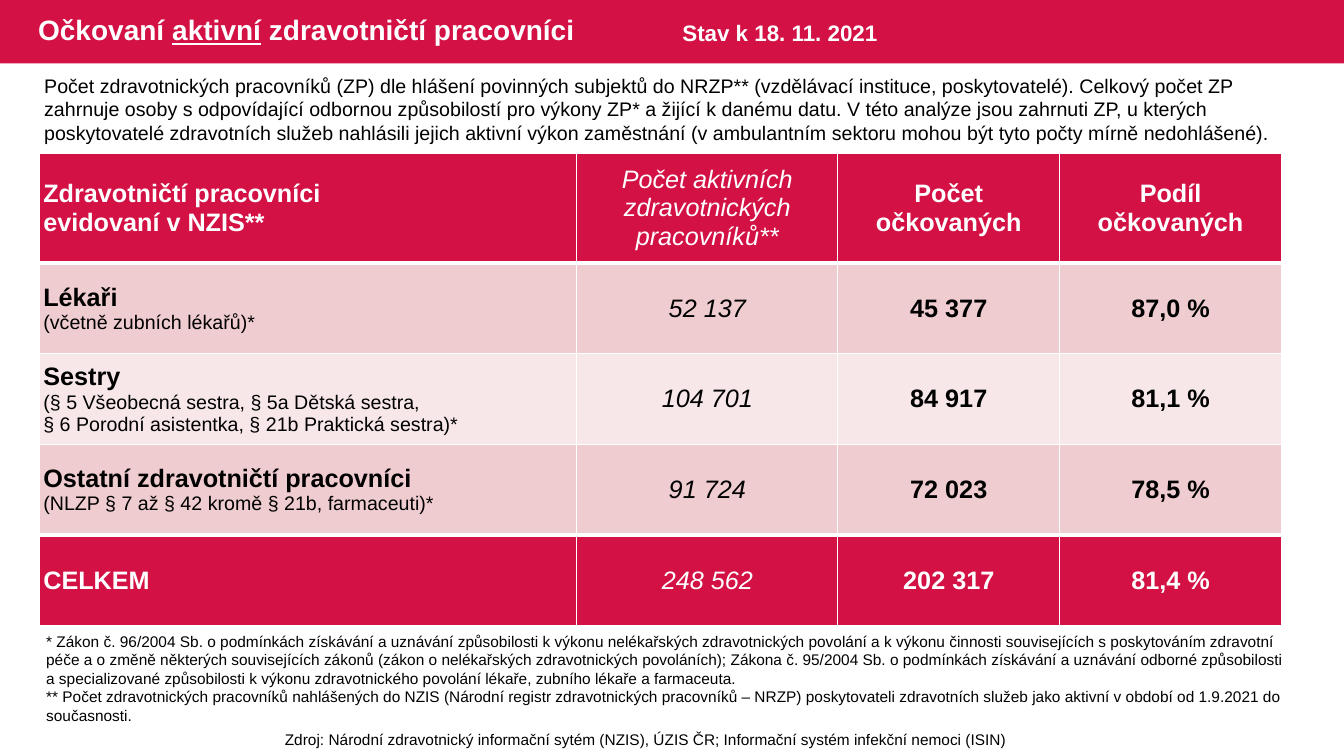
from dataclasses import dataclass, field
from typing import Any

from lxml.etree import SubElement
from pptx import Presentation
from pptx.dml.color import RGBColor
from pptx.enum.shapes import MSO_SHAPE as Shape
from pptx.enum.text import MSO_ANCHOR as Anchor, PP_ALIGN as Align
from pptx.oxml.ns import qn
from pptx.util import Inches, Pt


@dataclass(frozen=True)
class Theme:
    font: str = "Arial"
    red: str = "D31145"
    rose: str = "EFCCCF"
    blush: str = "F7E7E9"
    white: str = "FFFFFF"
    black: str = "000000"
    title: int = 20
    cell: int = 18
    date: int = 16
    body: int = 14
    note: int = 11
    rule: int = 1
    heavy_rule: int = 3


THEME = Theme()


@dataclass(frozen=True)
class Span:
    text: str
    size: int
    color: str = THEME.black
    format: dict[str, Any] = field(default_factory=dict)


@dataclass(frozen=True)
class Note:
    frame: tuple[float, float, float, float]
    paras: list[list[Span]]
    align: Align = Align.LEFT
    anchor: Anchor = Anchor.TOP
    spacing: float = 1.0


@dataclass(frozen=True)
class Row:
    height: float
    label: list[str]
    values: list[str]
    fill: str
    color: str = THEME.black
    detail: list[str] = field(default_factory=list)
    top_rule: int = THEME.rule
    bottom_rule: int = THEME.rule


BOLD = {"bold": True}
ITALIC = {"italic": True}
VALUE_FORMATS = [ITALIC, BOLD, BOLD]
COLUMN_WIDTHS = [5.33, 2.59, 2.2, 2.2]
TABLE_LEFT, TABLE_TOP = 0.39, 1.52
PAGE_WIDTH, PAGE_HEIGHT, BAND_HEIGHT = 13.33, 7.5, 0.63
TITLE_FORMAT = {"size": THEME.title, "color": THEME.white}

NOTES = [
    Note((0.28, 0, 8.13, BAND_HEIGHT), [[
        Span("Očkovaní ", format=BOLD, **TITLE_FORMAT),
        Span("aktivní", format=BOLD | {"underline": True}, **TITLE_FORMAT),
        Span(" zdravotničtí pracovníci", format=BOLD, **TITLE_FORMAT),
    ]], anchor=Anchor.MIDDLE, spacing=0.9),
    Note((0.36, 6.22, 12.53, 1.03), [
        [Span("* Zákon č. 96/2004 Sb. o podmínkách získávání a uznávání způsobilosti k výkonu "
              "nelékařských zdravotnických povolání a k výkonu činnosti souvisejících s poskytováním "
              "zdravotní péče a o změně některých souvisejících zákonů (zákon o nelékařských "
              "zdravotnických povoláních); Zákona č. 95/2004 Sb. o podmínkách získávání a uznávání "
              "odborné způsobilosti a specializované způsobilosti k výkonu zdravotnického povolání "
              "lékaře, zubního lékaře a farmaceuta.", THEME.note)],
        [Span("** Počet zdravotnických pracovníků nahlášených do NZIS (Národní registr zdravotnických "
              "pracovníků – NRZP) poskytovateli zdravotních služeb jako aktivní v období od 1.9.2021 "
              "do současnosti.", THEME.note)],
    ]),
    Note((0.34, 0.68, 12.64, 0.81), [[
        Span("Počet zdravotnických pracovníků (ZP) dle hlášení povinných subjektů do NRZP** "
             "(vzdělávací instituce, poskytovatelé). Celkový počet ZP zahrnuje osoby s odpovídající "
             "odbornou způsobilostí pro výkony ZP* a žijící k danému datu. V této analýze jsou "
             "zahrnuti ZP, u kterých poskytovatelé zdravotních služeb nahlásili jejich aktivní výkon "
             "zaměstnání (v ambulantním sektoru mohou být tyto počty mírně nedohlášené).", THEME.body),
    ]]),
    Note((6.67, 0.14, 2.2, 0.37), [[Span("Stav k 18. 11. 2021", THEME.date, THEME.white, BOLD)]]),
    Note((1.9, 7.19, 9.06, 0.29), [[
        Span("Zdroj: Národní zdravotnický informační sytém (NZIS), ÚZIS ČR; "
             "Informační systém infekční nemoci (ISIN) ", THEME.note),
    ]], align=Align.CENTER),
]

ROWS = [
    Row(1.09, ["Zdravotničtí pracovníci", "evidovaní v NZIS**"],
        ["Počet aktivních zdravotnických pracovníků**", "Počet očkovaných", "Podíl očkovaných"],
        THEME.red, THEME.white, bottom_rule=THEME.heavy_rule),
    Row(0.9, ["Lékaři"], ["52 137", "45 377", "87,0 %"], THEME.rose,
        detail=["(včetně zubních lékařů)*"], top_rule=THEME.heavy_rule),
    Row(0.9, ["Sestry"], ["104 701", "84 917", "81,1 %"], THEME.blush,
        detail=["(§ 5 Všeobecná sestra, § 5a Dětská sestra,",
                "§ 6 Porodní asistentka, § 21b Praktická sestra)*"]),
    Row(0.9, ["Ostatní zdravotničtí pracovníci"], ["91 724", "72 023", "78,5 %"], THEME.rose,
        detail=["(NLZP § 7 až § 42 kromě § 21b, farmaceuti)*"], bottom_rule=THEME.heavy_rule),
    Row(0.9, ["CELKEM"], ["248 562", "202 317", "81,4 %"], THEME.red, THEME.white,
        top_rule=THEME.heavy_rule),
]


def write_paras(text_frame: Any, paras: list[list[Span]], align: Align, spacing: float = 1.0) -> None:
    for index, spans in enumerate(paras):
        para = text_frame.add_paragraph() if index else text_frame.paragraphs[0]
        para.alignment = align
        para.line_spacing = spacing
        for span in spans:
            run = para.add_run()
            run.text = span.text
            run.font.color.rgb = RGBColor.from_string(span.color)
            formats = {"name": THEME.font, "size": Pt(span.size), "bold": False} | span.format
            for name, value in formats.items():
                setattr(run.font, name, value)


def draw_note(page: Any, note: Note) -> None:
    box = page.shapes.add_textbox(*map(Inches, note.frame))
    box.text_frame.word_wrap = True
    box.text_frame.vertical_anchor = note.anchor
    write_paras(box.text_frame, note.paras, note.align, note.spacing)


def draw_band(page: Any) -> None:
    band = page.shapes.add_shape(Shape.RECTANGLE, 0, 0, Inches(PAGE_WIDTH), Inches(BAND_HEIGHT))
    band.shadow.inherit = False
    band.fill.solid()
    band.fill.fore_color.rgb = RGBColor.from_string(THEME.red)
    band.line.fill.background()


def set_borders(cell: Any, row: Row) -> None:
    properties = cell._tc.get_or_add_tcPr()
    widths = {"a:lnL": THEME.rule, "a:lnR": THEME.rule, "a:lnT": row.top_rule, "a:lnB": row.bottom_rule}
    for tag, width in widths.items():
        border = SubElement(properties, qn(tag), w=str(Pt(width)))
        SubElement(SubElement(border, qn("a:solidFill")), qn("a:srgbClr"), val=THEME.white)


def draw_cell(cell: Any, row: Row, paras: list[list[Span]], align: Align, margin: float) -> None:
    set_borders(cell, row)
    cell.fill.solid()
    cell.fill.fore_color.rgb = RGBColor.from_string(row.fill)
    formats = {"vertical_anchor": Anchor.MIDDLE, "margin_left": Inches(margin),
               "margin_right": Inches(margin), "margin_top": 0, "margin_bottom": 0}
    for name, value in formats.items():
        setattr(cell, name, value)
    write_paras(cell.text_frame, paras, align)


def draw_table(page: Any) -> None:
    height = sum(row.height for row in ROWS)
    frame = page.shapes.add_table(len(ROWS), len(COLUMN_WIDTHS), Inches(TABLE_LEFT), Inches(TABLE_TOP),
                                  Inches(sum(COLUMN_WIDTHS)), Inches(height))
    table = frame.table
    for column, width in zip(table.columns, COLUMN_WIDTHS):
        column.width = Inches(width)
    for index, row in enumerate(ROWS):
        table.rows[index].height = Inches(row.height)
        label = [[Span(text, THEME.cell, row.color, BOLD)] for text in row.label]
        detail = [[Span(text, THEME.body, row.color)] for text in row.detail]
        draw_cell(table.cell(index, 0), row, label + detail, Align.LEFT, 0.04)
        margin = 0.01 if index else 0.04
        for column, (text, format) in enumerate(zip(row.values, VALUE_FORMATS), 1):
            value = [[Span(text, THEME.cell, row.color, format)]]
            draw_cell(table.cell(index, column), row, value, Align.CENTER, margin)


def main() -> None:
    deck = Presentation()
    deck.slide_width, deck.slide_height = Inches(PAGE_WIDTH), Inches(PAGE_HEIGHT)
    page = deck.slides.add_slide(deck.slide_layouts[6])
    draw_band(page)
    draw_table(page)
    for note in NOTES:
        draw_note(page, note)
    deck.save("out.pptx")


if __name__ == "__main__":
    main()
